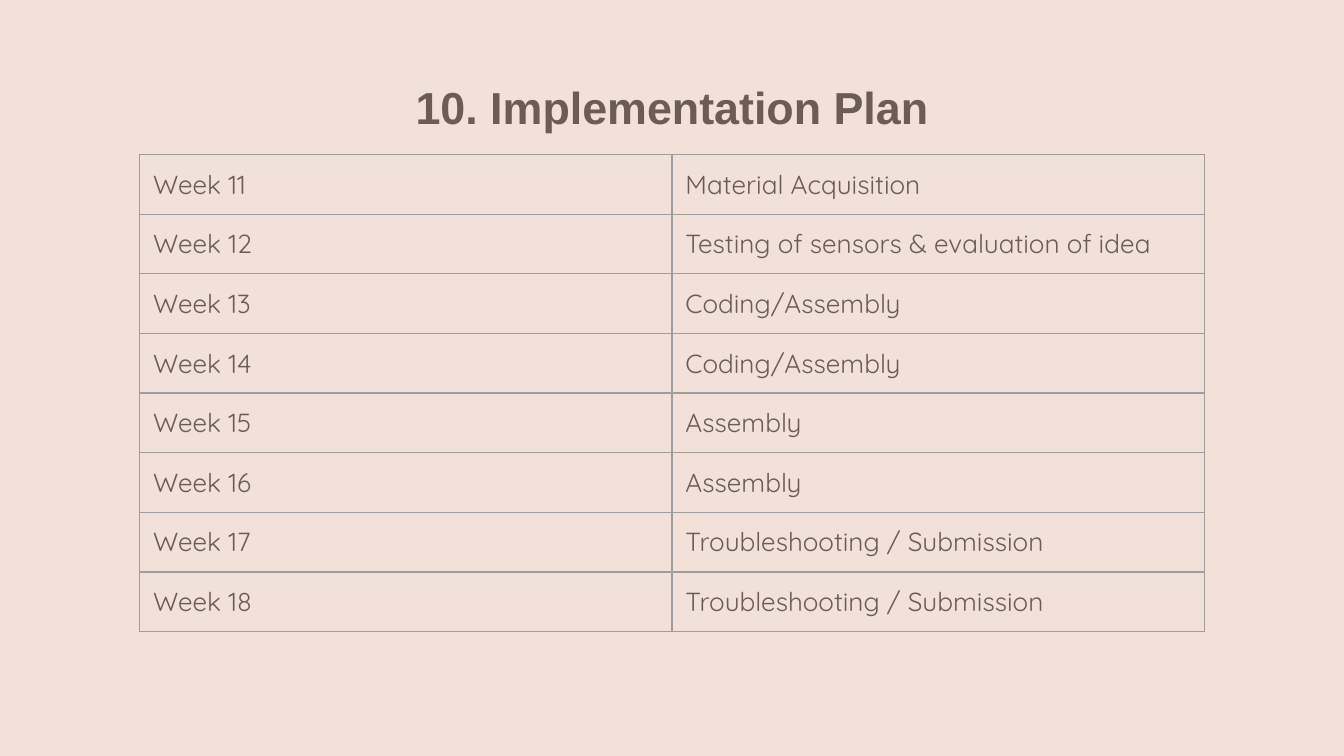
from typing import NamedTuple

from lxml import etree
from pptx import Presentation
from pptx.dml.color import RGBColor
from pptx.enum.text import MSO_ANCHOR, MSO_AUTO_SIZE, PP_ALIGN
from pptx.oxml.ns import qn
from pptx.util import Inches, Pt

CENTER = PP_ALIGN.CENTER
TOP = MSO_ANCHOR.TOP
NO_AUTOFIT = MSO_AUTO_SIZE.NONE

BACKGROUND = RGBColor(0xF2, 0xE1, 0xD8)
BROWN = RGBColor(0x6D, 0x5B, 0x57)
BORDER = RGBColor(0x9E, 0x9E, 0x9E)

SLIDE_WIDTH = Inches(10)
SLIDE_HEIGHT = SLIDE_WIDTH * 9 // 16
COLUMN_WIDTH = Inches(3.96)
ROW_HEIGHT = Inches(0.42)
TABLE_TOP = Inches(1.15)
TITLE_WIDTH = Inches(8.43)
PADDING = Inches(0.1)
FIRST_WEEK = 11


class TextStyle(NamedTuple):
    font: str
    size: int
    bold: bool


TITLE_STYLE = TextStyle("Arial", 24, True)
CELL_STYLE = TextStyle("Quicksand", 14, False)

TASKS = [
    "Material Acquisition",
    "Testing of sensors & evaluation of idea",
    "Coding/Assembly",
    "Coding/Assembly",
    "Assembly",
    "Assembly",
    "Troubleshooting / Submission",
    "Troubleshooting / Submission",
]


def add_run(paragraph, text: str, style: TextStyle) -> None:
    run = paragraph.add_run()
    run.text = text
    run.font.name = style.font
    run.font.size = Pt(style.size)
    run.font.bold = style.bold
    run.font.color.rgb = BROWN


def set_padding(box) -> None:
    box.margin_left = box.margin_right = PADDING
    box.margin_top = box.margin_bottom = PADDING
    box.vertical_anchor = TOP


def draw_title(slide, text: str) -> None:
    title = slide.shapes.title
    title.left = (SLIDE_WIDTH - TITLE_WIDTH) // 2
    title.top = Inches(0.49)
    title.width = TITLE_WIDTH
    title.height = Inches(5.03)
    frame = title.text_frame
    frame.word_wrap = True
    frame.auto_size = NO_AUTOFIT
    set_padding(frame)
    paragraph = frame.paragraphs[0]
    paragraph.alignment = CENTER
    add_run(paragraph, text, TITLE_STYLE)


def add_borders(cell) -> None:
    properties = cell._tc.get_or_add_tcPr()
    for position, side in enumerate(("a:lnL", "a:lnR", "a:lnT", "a:lnB")):
        line = etree.Element(qn(side), w=str(Pt(0.75)))
        fill = etree.SubElement(line, qn("a:solidFill"))
        etree.SubElement(fill, qn("a:srgbClr"), val=str(BORDER))
        properties.insert(position, line)


def draw_cell(cell, text: str) -> None:
    cell.fill.background()
    set_padding(cell)
    add_run(cell.text_frame.paragraphs[0], text, CELL_STYLE)
    add_borders(cell)


def draw_schedule(slide, tasks: list[str]) -> None:
    width = 2 * COLUMN_WIDTH
    table = slide.shapes.add_table(
        len(tasks), 2, (SLIDE_WIDTH - width) // 2, TABLE_TOP,
        width, len(tasks) * ROW_HEIGHT,
    ).table
    table.first_row = False
    table.horz_banding = False
    for row, task in enumerate(tasks):
        draw_cell(table.cell(row, 0), f"Week {FIRST_WEEK + row}")
        draw_cell(table.cell(row, 1), task)


def main() -> None:
    presentation = Presentation()
    presentation.slide_width = SLIDE_WIDTH
    presentation.slide_height = SLIDE_HEIGHT
    slide = presentation.slides.add_slide(presentation.slide_layouts[5])
    slide.background.fill.solid()
    slide.background.fill.fore_color.rgb = BACKGROUND
    draw_title(slide, "10. Implementation Plan")
    draw_schedule(slide, TASKS)
    presentation.save("out.pptx")


if __name__ == "__main__":
    main()
